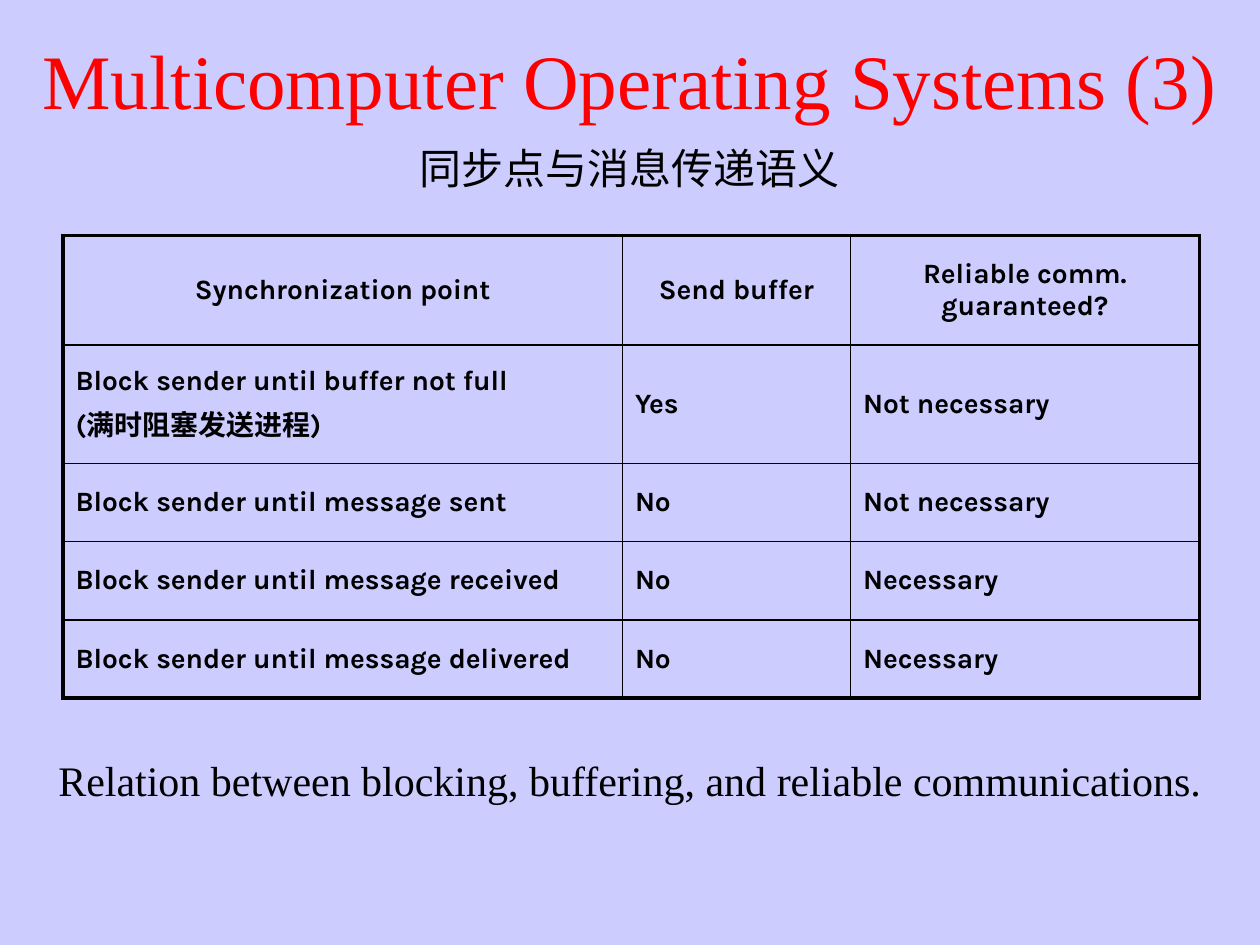
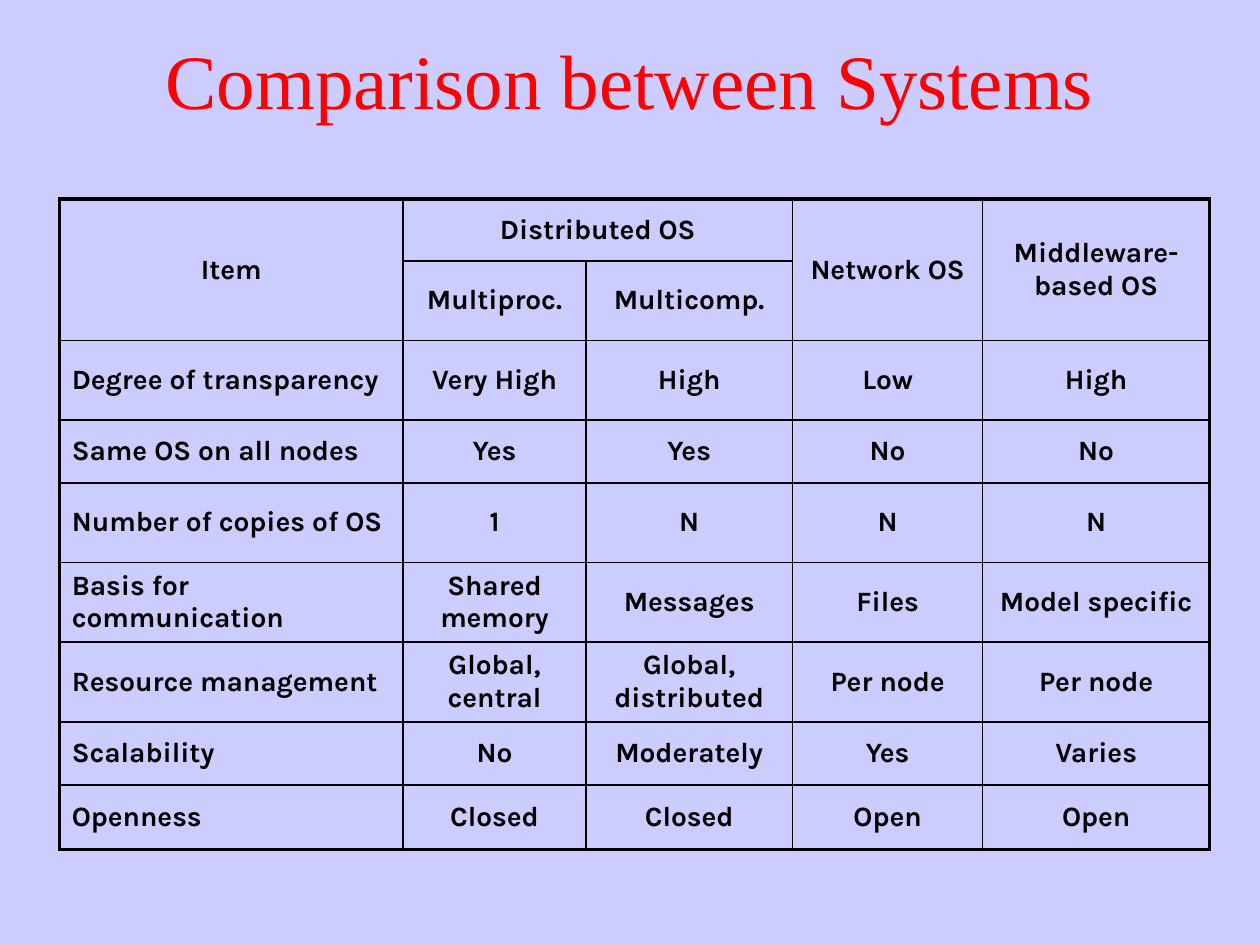
from pptx import Presentation
from pptx.dml.color import RGBColor
from pptx.enum.text import MSO_ANCHOR as Anchor, PP_ALIGN as Align
from pptx.oxml.ns import qn
from pptx.util import Inches, Pt
from lxml.etree import SubElement

SLIDE_W, SLIDE_H = Inches(10), Inches(7.5)
LAVENDER, RED, BLACK = "CCCCFF", "FF0000", "000000"
SERIF, SANS = "Times New Roman", "Karla"
FRAME, RULE = 2.25, 1

BLOCKING_ROWS = [
    ["Synchronization point", "Send buffer", "Reliable comm. guaranteed?"],
    ["Block sender until buffer not full\n(满时阻塞发送进程)", "Yes", "Not necessary"],
    ["Block sender until message sent", "No", "Not necessary"],
    ["Block sender until message received", "No", "Necessary"],
    ["Block sender until message delivered", "No", "Necessary"],
]

SYSTEM_ROWS = [
    ["Item", "Distributed OS", None, "Network OS", "Middleware-based OS"],
    [None, "Multiproc.", "Multicomp.", None, None],
    ["Degree of transparency", "Very High", "High", "Low", "High"],
    ["Same OS on all nodes", "Yes", "Yes", "No", "No"],
    ["Number of copies of OS", "1", "N", "N", "N"],
    ["Basis for communication", "Shared memory", "Messages", "Files", "Model specific"],
    ["Resource management", "Global, central", "Global, distributed", "Per node", "Per node"],
    ["Scalability", "No", "Moderately", "Yes", "Varies"],
    ["Openness", "Closed", "Closed", "Open", "Open"],
]


def rgb(hex_colour):
    return RGBColor.from_string(hex_colour)


def across(percent):
    return round(SLIDE_W * percent / 100)


def down(percent):
    return round(SLIDE_H * percent / 100)


def write(tf, text, size=24, font=SERIF, colour=BLACK, bold=False, align=Align.CENTER):
    """Fill a text frame with one paragraph per line of text."""
    tf.word_wrap = True
    for i, line in enumerate(text.split("\n")):
        p = tf.add_paragraph() if i else tf.paragraphs[0]
        p.alignment = align
        p.space_before = Pt(0.2 * size if i else 0)
        r = p.add_run()
        r.text = line
        r.font.size, r.font.name, r.font.bold = Pt(size), font, bold
        r.font.color.rgb = rgb(colour)


def add_text(slide, text, top, height, anchor=Anchor.TOP, **fmt):
    """Add a text box as wide as the slide; top and height in percent."""
    tf = slide.shapes.add_textbox(0, down(top), SLIDE_W, down(height)).text_frame
    tf.vertical_anchor = anchor
    write(tf, text, **fmt)


def add_titled_slide(prs, title):
    slide = prs.slides.add_slide(prs.slide_layouts[6])
    fill = slide.background.fill
    fill.solid()
    fill.fore_color.rgb = rgb(LAVENDER)
    add_text(slide, title, 0, 16.67, anchor=Anchor.MIDDLE, size=44, colour=RED)
    return slide


def set_borders(cell, **widths):
    """Draw the sides L, R, T and B, with widths in points."""
    tc_pr = cell._tc.get_or_add_tcPr()
    for side, width in widths.items():
        ln = SubElement(tc_pr, qn(f"a:ln{side}"), w=str(Pt(width)))
        SubElement(SubElement(ln, qn("a:solidFill")), qn("a:srgbClr"), val=BLACK)


def add_grid(slide, rows, left, top, widths, heights,
             header_rows=1, body_align=Align.LEFT, merges=()):
    """Add a ruled table with a heavy frame; lengths in percent of the slide."""
    n_rows, n_cols = len(rows), len(widths)
    table = slide.shapes.add_table(n_rows, n_cols, across(left), down(top),
                                   across(sum(widths)), down(sum(heights))).table
    table.first_row = table.horz_banding = False
    for column, width in zip(table.columns, widths):
        column.width = across(width)
    for row, height in zip(table.rows, heights):
        row.height = down(height)
    for first, last in merges:
        table.cell(*first).merge(table.cell(*last))
    for i, row in enumerate(rows):
        for j, text in enumerate(row):
            cell = table.cell(i, j)
            set_borders(cell,
                        L=FRAME if j == 0 else RULE,
                        R=FRAME if j == n_cols - 1 else RULE,
                        T=FRAME if i == 0 else RULE,
                        B=FRAME if i == n_rows - 1 else RULE)
            cell.fill.background()
            cell.vertical_anchor = Anchor.MIDDLE
            if text is None:
                continue
            if i < header_rows:
                align = Align.CENTER
            else:
                align = body_align if j else Align.LEFT
            write(cell.text_frame, text, size=16, font=SANS, bold=True, align=align)


def main():
    prs = Presentation()
    prs.slide_width, prs.slide_height = SLIDE_W, SLIDE_H

    slide = add_titled_slide(prs, "Multicomputer Operating Systems (3)")
    add_text(slide, "Relation between blocking, buffering, and reliable communications.",
             79.2, 12.27)
    add_grid(slide, BLOCKING_ROWS, 5, 24.93, widths=[44.4, 18.1, 27.7],
             heights=[11.6, 12.53] + [8.27] * 3)
    add_text(slide, "同步点与消息传递语义", 14.4, 10.53)

    slide = add_titled_slide(prs, "Comparison between Systems")
    add_grid(slide, SYSTEM_ROWS, 4.7, 21.07, widths=[27.3, 14.5, 16.4, 15.1, 18],
             heights=[6.53, 6.67, 8.4, 6.67, 8.4, 8.4, 8.4, 6.67, 6.8],
             header_rows=2, body_align=Align.CENTER,
             merges=[((0, 0), (1, 0)), ((0, 1), (0, 2)),
                     ((0, 3), (1, 3)), ((0, 4), (1, 4))])

    prs.save("out.pptx")


if __name__ == "__main__":
    main()
